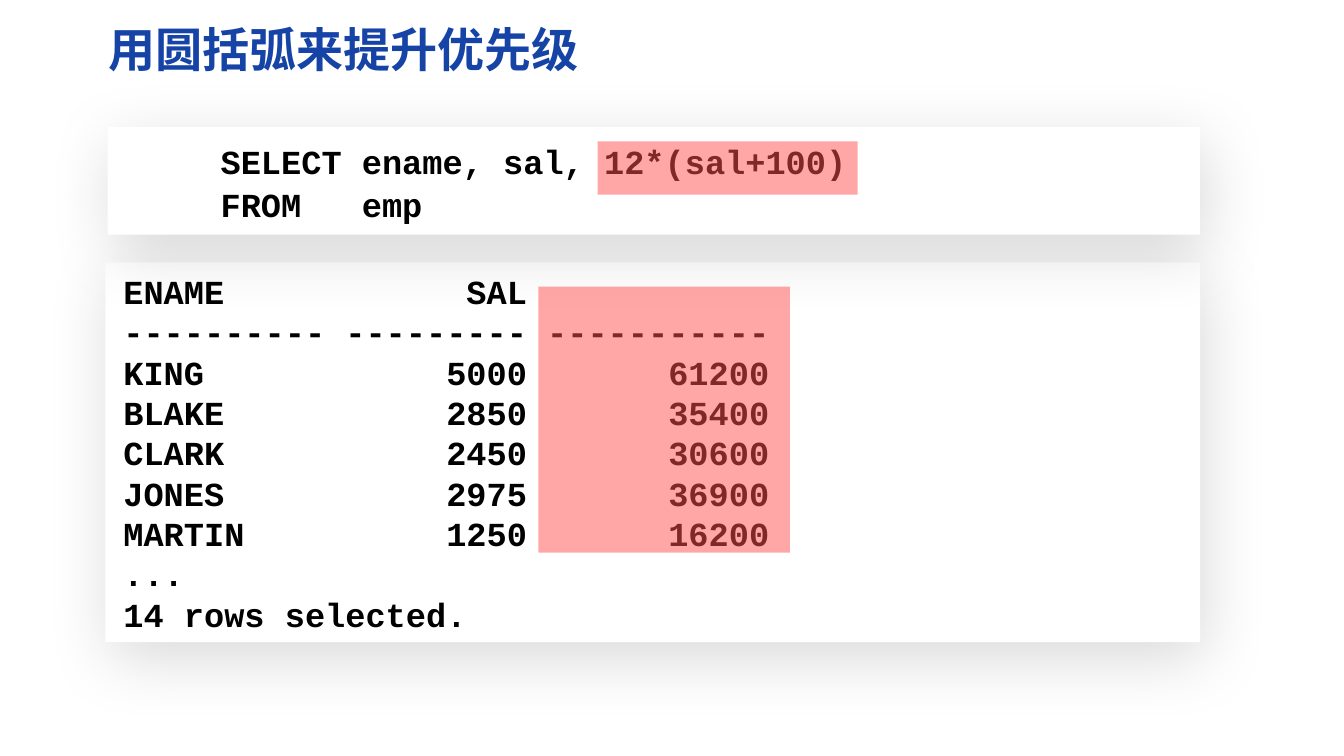
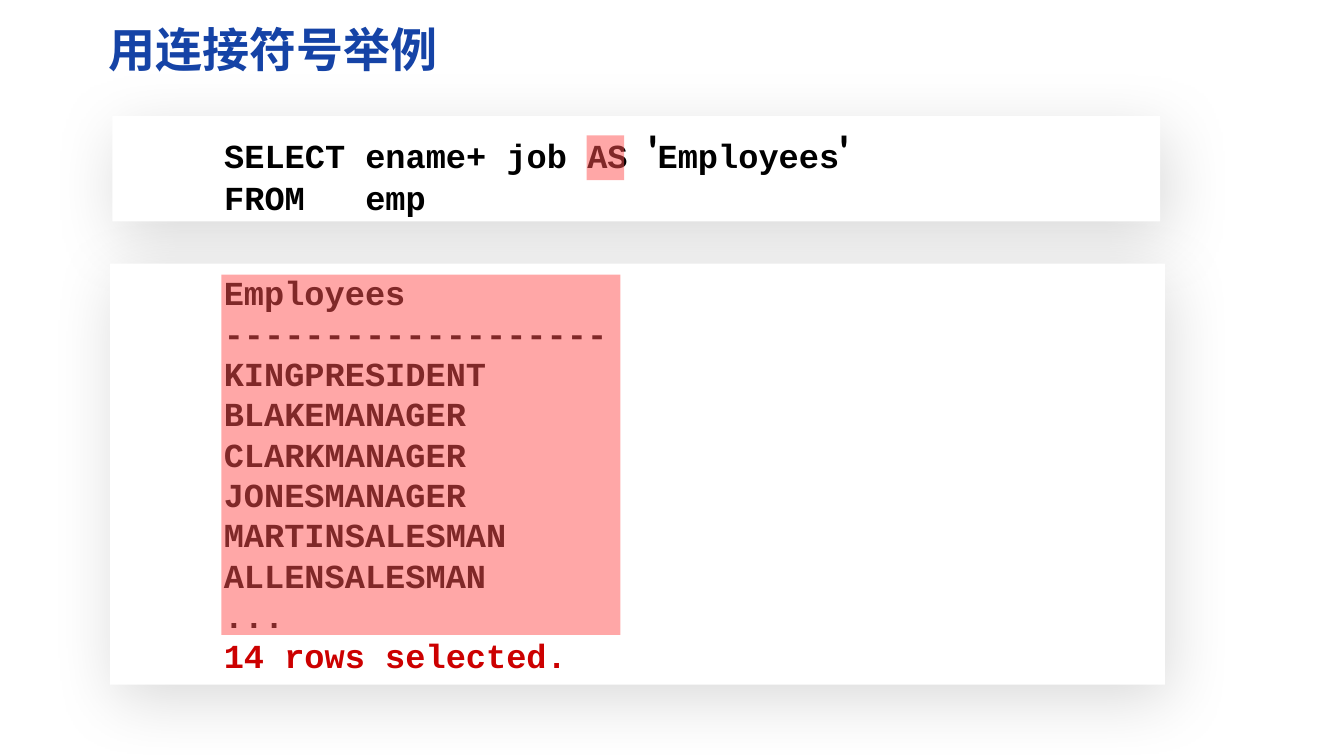
"""Build two slides that show SQL queries above their results."""
from dataclasses import dataclass

from lxml import etree
from pptx import Presentation
from pptx.dml.color import RGBColor
from pptx.enum.shapes import MSO_SHAPE
from pptx.enum.text import MSO_ANCHOR
from pptx.oxml.ns import qn
from pptx.util import Inches, Pt

RECT = MSO_SHAPE.RECTANGLE
MID, TOP = MSO_ANCHOR.MIDDLE, MSO_ANCHOR.TOP


@dataclass(frozen=True)
class Theme:
    blue: str = "1543A6"
    ink: str = "000000"
    red: str = "CC0000"
    mark: str = "FF5050"
    white: str = "FFFFFF"
    head: str = "Noto Sans CJK SC"
    code: str = "Courier New"
    quote: str = "Lato"
    head_size: float = 28
    code_size: float = 20
    quote_size: float = 26.7


T = Theme()
TITLE = (0.79, 0.12, 9.81, 0.57)
QUOTE = "'"

SLIDES = [
    {
        "title": "用圆括弧来提升优先级",
        "panels": [(0.87, 2.17, 9.05, 3.14), (0.89, 1.05, 9.03, 0.89)],
        "query": {
            "box": (0.88, 1.05, 9.03, 0.89),
            "lines": ["     SELECT ename, sal, 12*(sal+100)", "     FROM   emp"],
            "pitch": Pt(26),
        },
        "result": {
            "box": (0.91, 2.18, 9.02, 3.14),
            "lines": [
                "ENAME            SAL",
                "---------- --------- -----------",
                "KING            5000       61200",
                "BLAKE           2850       35400",
                "CLARK           2450       30600",
                "JONES           2975       36900",
                "MARTIN          1250       16200",
                "...",
                "14 rows selected.",
            ],
        },
        "marks": [(4.94, 1.17, 2.15, 0.44), (4.45, 2.37, 2.08, 2.2)],
    },
    {
        "title": "用连接符号举例",
        "panels": [(0.93, 0.96, 8.66, 0.87), (0.91, 2.18, 8.72, 3.48)],
        "query": {
            "box": (0.91, 1.04, 8.5, 0.74),
            "lines": ["     SELECT\tename+ job AS 'Employees'", "     FROM \temp"],
            "wrap": False,
        },
        "result": {
            "box": (1.74, 2.19, 8.23, 3.48),
            "lines": [
                "Employees",
                "-------------------",
                "KINGPRESIDENT",
                "BLAKEMANAGER",
                "CLARKMANAGER",
                "JONESMANAGER",
                "MARTINSALESMAN",
                "ALLENSALESMAN",
                "...",
                "14 rows selected.",
            ],
            "last": T.red,
        },
        "marks": [(4.85, 1.12, 0.31, 0.37), (1.83, 2.27, 3.3, 2.98)],
    },
]


def place(box):
    return [Inches(side) for side in box]


def add_rect(slide, box, color):
    rect = slide.shapes.add_shape(RECT, *place(box))
    rect.shadow.inherit = False
    rect.fill.solid()
    rect.fill.fore_color.rgb = RGBColor.from_string(color)
    rect.line.fill.background()
    return rect


def add_alpha(color, share):
    etree.SubElement(color, qn("a:alpha"), val=str(share * 1000))


def add_panel(slide, box):
    rect = add_rect(slide, box, T.white)
    effects = rect._element.spPr.find(qn("a:effectLst"))
    shadow = etree.SubElement(
        effects, qn("a:outerShdw"), blurRad=str(Pt(40)), dist=str(Pt(10)),
        dir=str(70 * 60000), algn="ctr", rotWithShape="0")
    add_alpha(etree.SubElement(shadow, qn("a:srgbClr"), val=T.ink), 15)


def add_mark(slide, box):
    rect = add_rect(slide, box, T.mark)
    add_alpha(rect._element.spPr.find(f".//{qn('a:srgbClr')}"), 50)


def add_text(slide, box, lines, anchor=TOP, wrap=True, pitch=None,
             face=T.code, size=T.code_size, color=T.ink, last=None):
    frame = slide.shapes.add_textbox(*place(box)).text_frame
    frame.word_wrap = wrap
    frame.vertical_anchor = anchor
    frame.margin_left = frame.margin_right = Inches(0.11)
    frame.margin_top = frame.margin_bottom = Inches(0.06)
    for i, line in enumerate(lines):
        para = frame.paragraphs[0] if i == 0 else frame.add_paragraph()
        if pitch:
            para.line_spacing = pitch
        tint = last if last and i == len(lines) - 1 else color
        font = para.font
        font.name, font.size, font.bold = face, Pt(size), True
        font.color.rgb = RGBColor.from_string(tint)
        base = para._p.pPr.find(qn("a:defRPr"))
        etree.SubElement(base, qn("a:ea"), typeface=face)
        for j, part in enumerate(line.split(QUOTE)):
            if j:
                run = para.add_run()
                run.text = QUOTE
                run.font.name, run.font.size = T.quote, Pt(T.quote_size)
            if part:
                para.add_run().text = part


def main():
    deck = Presentation()
    deck.slide_width, deck.slide_height = Inches(11.11), Inches(6.25)
    for data in SLIDES:
        slide = deck.slides.add_slide(deck.slide_layouts[6])
        add_text(slide, TITLE, [data["title"]], MID,
                 face=T.head, size=T.head_size, color=T.blue)
        for box in data["panels"]:
            add_panel(slide, box)
        add_text(slide, anchor=MID, **data["query"])
        add_text(slide, **data["result"])
        for box in data["marks"]:
            add_mark(slide, box)
    deck.save("out.pptx")


if __name__ == "__main__":
    main()
